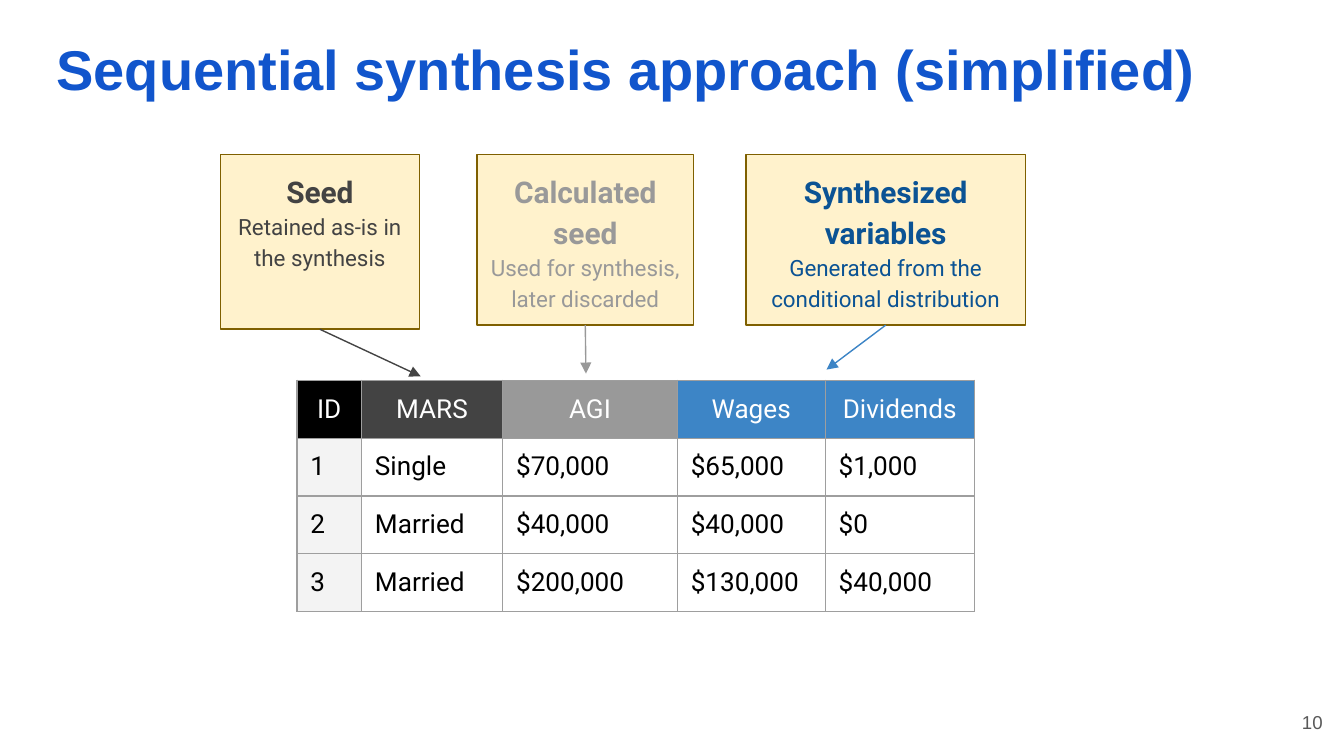
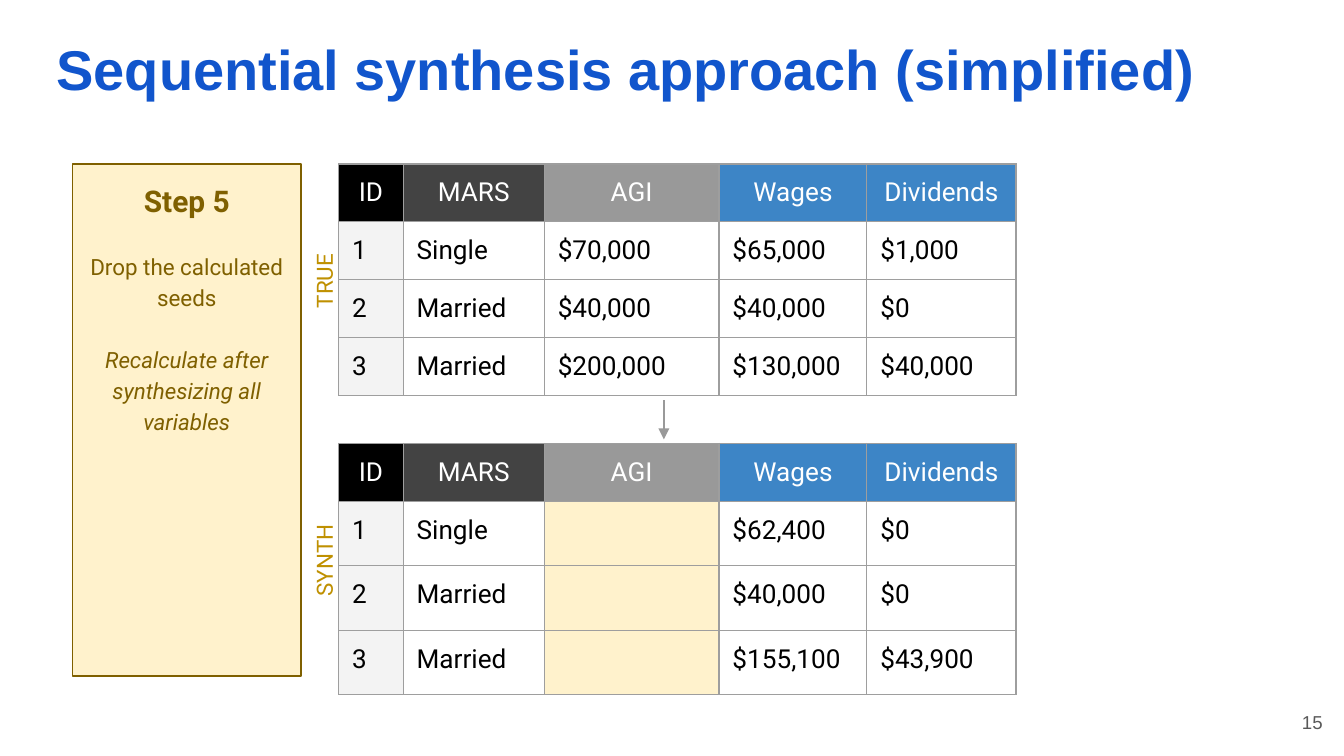
from dataclasses import dataclass
from lxml.etree import SubElement
from pptx import Presentation
from pptx.dml.color import RGBColor
from pptx.enum.shapes import MSO_CONNECTOR, MSO_SHAPE
from pptx.enum.text import MSO_ANCHOR, MSO_AUTO_SIZE, PP_ALIGN
from pptx.oxml.ns import qn
from pptx.util import Inches, Pt


@dataclass(frozen=True)
class Theme:
    title_blue: str = "1155CC"
    black: str = "000000"
    white: str = "FFFFFF"
    dark: str = "434343"
    gray: str = "999999"
    blue: str = "3D85C6"
    deep_blue: str = "0B5394"
    cream: str = "FFF2CC"
    brown: str = "7F6000"
    gold: str = "BF9000"
    id_gray: str = "F3F3F3"
    border: str = "9E9E9E"
    footer_gray: str = "595959"
    title_font: str = "Arial"
    body_font: str = "Roboto"
    title_size: int = 30
    heading_size: int = 16
    cell_size: int = 14
    body_size: int = 12
    footer_size: int = 10
    line_width: float = 0.75
    line_spacing: float = 1.15


THEME = Theme()
TITLE = "Sequential synthesis approach (simplified)"
COLUMNS = [("ID", 0.48, THEME.black), ("MARS", 1.05, THEME.dark),
           ("AGI", 1.3, THEME.gray), ("Wages", 1.1, THEME.blue),
           ("Dividends", 1.11, THEME.blue)]
TRUE_RECORDS = [("1", "Single", "$70,000", "$65,000", "$1,000"),
                ("2", "Married", "$40,000", "$40,000", "$0"),
                ("3", "Married", "$200,000", "$130,000", "$40,000")]
SYNTHETIC_RECORDS = [("1", "Single", "", "$62,400", "$0"),
                     ("2", "Married", "", "$40,000", "$0"),
                     ("3", "Married", "", "$155,100", "$43,900")]


def rgb(color):
    return RGBColor.from_string(color)


def write(frame, text, *, size, color, font=THEME.body_font, bold=False, italic=False,
          align=PP_ALIGN.LEFT, spacing=None, before=None):
    """Fill the empty first paragraph of a frame, or add a paragraph after the others."""
    paragraph = frame.paragraphs[-1]
    if paragraph.runs:
        paragraph = frame.add_paragraph()
    paragraph.alignment = align
    if spacing:
        paragraph.line_spacing = spacing
    if before:
        paragraph.space_before = Pt(before)
    run = paragraph.add_run()
    run.text = text
    run.font.name = font
    run.font.size = Pt(size)
    run.font.bold = bold
    run.font.italic = italic
    run.font.color.rgb = rgb(color)


def set_frame(frame, anchor=MSO_ANCHOR.TOP):
    frame.word_wrap = True
    frame.auto_size = MSO_AUTO_SIZE.NONE
    frame.vertical_anchor = anchor
    frame.margin_left = frame.margin_right = Inches(0.1)
    frame.margin_top = frame.margin_bottom = Inches(0.1)
    return frame


def add_text_box(slide, box, anchor=MSO_ANCHOR.TOP):
    shape = slide.shapes.add_textbox(*map(Inches, box))
    set_frame(shape.text_frame, anchor)
    return shape


def add_base_slide(presentation, number):
    """Title and page number, shared by every slide."""
    slide = presentation.slides.add_slide(presentation.slide_layouts[5])
    title = slide.shapes.title
    title.left, title.top, title.width, title.height = map(Inches, (0.32, 0.16, 9.25, 0.59))
    write(set_frame(title.text_frame), TITLE, size=THEME.title_size,
          color=THEME.title_blue, font=THEME.title_font, bold=True)
    footer = add_text_box(slide, (9.34, 5.16, 0.6, 0.43), MSO_ANCHOR.MIDDLE)
    write(footer.text_frame, number, size=THEME.footer_size, color=THEME.footer_gray,
          font=THEME.title_font, align=PP_ALIGN.RIGHT)
    return slide


def add_note(slide, box, heading, color, details, gap=None):
    """Cream box with a bold heading; details are (text, italic) pairs."""
    shape = slide.shapes.add_shape(MSO_SHAPE.RECTANGLE, *map(Inches, box))
    shape.shadow.inherit = False
    shape.fill.solid()
    shape.fill.fore_color.rgb = rgb(THEME.cream)
    shape.line.color.rgb = rgb(THEME.brown)
    shape.line.width = Pt(THEME.line_width)
    frame = set_frame(shape.text_frame)
    layout = {"color": color, "align": PP_ALIGN.CENTER, "spacing": THEME.line_spacing}
    write(frame, heading, size=THEME.heading_size, bold=True, **layout)
    for text, italic in details:
        write(frame, text, size=THEME.body_size, italic=italic, before=gap, **layout)
    return shape


def add_arrow(slide, start, end, color, source=None):
    """Arrow from start to end; a source shape is joined at its bottom side."""
    arrow = slide.shapes.add_connector(MSO_CONNECTOR.STRAIGHT, *map(Inches, start + end))
    if source is not None:
        arrow.begin_connect(source, 2)
    arrow.line.color.rgb = rgb(color)
    arrow.line.width = Pt(THEME.line_width)
    SubElement(arrow.line._get_or_add_ln(), qn("a:tailEnd"), type="triangle")
    SubElement(arrow._element.spPr, qn("a:effectLst"))


def set_borders(cell):
    properties = cell._tc.get_or_add_tcPr()
    for side in ("a:lnL", "a:lnR", "a:lnT", "a:lnB"):
        line = SubElement(properties, qn(side), w=str(Pt(THEME.line_width)))
        fill = SubElement(line, qn("a:solidFill"))
        SubElement(fill, qn("a:srgbClr"), val=THEME.border)


def fill_cell(cell, text, *, color, fill, align=PP_ALIGN.LEFT):
    cell.margin_left = cell.margin_right = Inches(0.1)
    cell.margin_top = cell.margin_bottom = Inches(0.1)
    set_borders(cell)
    if fill:
        cell.fill.solid()
        cell.fill.fore_color.rgb = rgb(fill)
    else:
        cell.fill.background()
    if text:
        write(cell.text_frame, text, size=THEME.cell_size, color=color, align=align)
    else:
        SubElement(cell.text_frame.paragraphs[0]._p, qn("a:endParaRPr"),
                   sz=str(THEME.cell_size * 100))


def add_records(slide, left, top, records, row_height=0.43):
    """Table of records; empty cells are highlighted."""
    width = sum(column[1] for column in COLUMNS)
    heights = [0.43] + [row_height] * len(records)
    table = slide.shapes.add_table(len(heights), len(COLUMNS), Inches(left), Inches(top),
                                   Inches(width), Inches(sum(heights))).table
    table.first_row = table.horz_banding = False
    for row, height in zip(table.rows, heights):
        row.height = Inches(height)
    for index, (name, column_width, header_fill) in enumerate(COLUMNS):
        table.columns[index].width = Inches(column_width)
        fill_cell(table.cell(0, index), name, color=THEME.white, fill=header_fill,
                  align=PP_ALIGN.CENTER)
        for row_index, record in enumerate(records, 1):
            text = record[index]
            fill = THEME.id_gray if index == 0 else None if text else THEME.cream
            fill_cell(table.cell(row_index, index), text, color=THEME.black, fill=fill)


def add_side_label(slide, top, text):
    """Label that reads upwards beside a table."""
    label = add_text_box(slide, (1.46, top, 1.72, 0.28))
    label.rotation = 270
    write(label.text_frame, text, size=THEME.body_size, color=THEME.gold,
          align=PP_ALIGN.CENTER, spacing=THEME.line_spacing)


def build_variables_slide(presentation):
    slide = add_base_slide(presentation, "10")
    add_records(slide, 2.21, 2.83, TRUE_RECORDS)
    # Variable groups, each pointing at its columns
    groups = [
        (1.64, 1.48, 1.3, "Seed", "Retained as-is in the synthesis",
         THEME.dark, THEME.dark, (3.13, 2.8)),
        (3.55, 1.61, 1.27, "Calculated seed", "Used for synthesis, later discarded",
         THEME.gray, THEME.gray, (4.36, 2.78)),
        (5.55, 2.08, 1.27, "Synthesized variables",
         "Generated from the conditional distribution",
         THEME.deep_blue, THEME.blue, (6.15, 2.75)),
    ]
    top = 1.15
    for left, width, height, heading, detail, color, arrow_color, target in groups:
        note = add_note(slide, (left, top, width, height), heading, color, [(detail, False)])
        add_arrow(slide, (left + width / 2, top + height), target, arrow_color, note)


def build_step_slide(presentation):
    slide = add_base_slide(presentation, "15")
    # Step description
    add_note(slide, (0.54, 1.22, 1.7, 3.81), "Step 5", THEME.brown,
             [("Drop the calculated seeds", False),
              ("Recalculate after synthesizing all variables", True)], gap=16.5)
    # True records above, synthetic records below
    add_records(slide, 2.52, 1.22, TRUE_RECORDS)
    add_arrow(slide, (4.94, 2.98), (4.94, 3.27), THEME.gray)
    add_records(slide, 2.52, 3.3, SYNTHETIC_RECORDS, row_height=0.48)
    add_side_label(slide, 1.95, "TRUE")
    add_side_label(slide, 4.03, "SYNTH")


def main():
    presentation = Presentation()
    # Widescreen, 16 to 9
    presentation.slide_width = Inches(10)
    presentation.slide_height = presentation.slide_width * 9 // 16
    build_variables_slide(presentation)
    build_step_slide(presentation)
    presentation.save("out.pptx")


if __name__ == "__main__":
    main()
